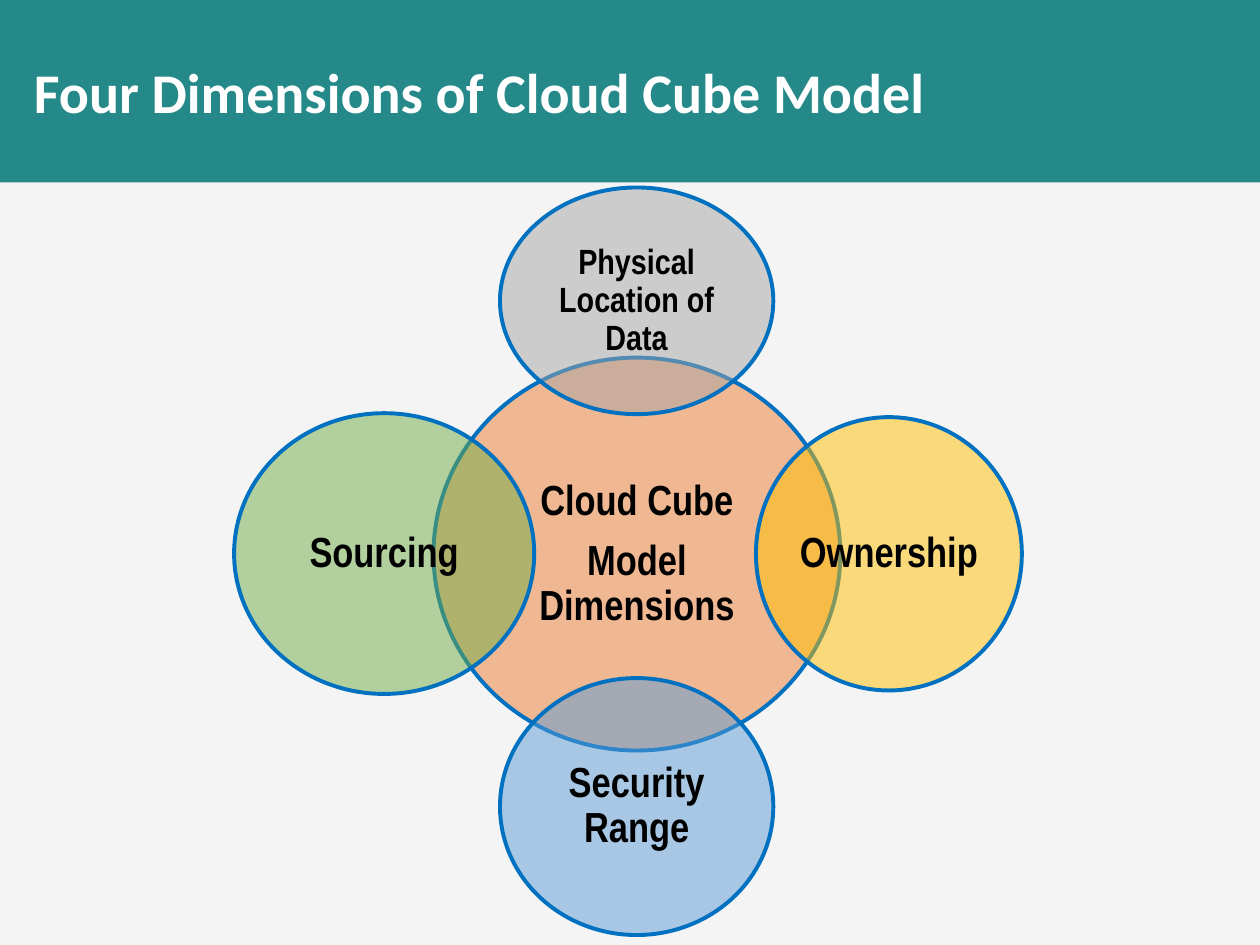
"""Build the slide on the four dimensions of the Cloud Cube Model."""
from lxml import etree
from pptx import Presentation
from pptx import util as u
from pptx.dml.color import RGBColor
from pptx.enum import shapes, text
from pptx.oxml.ns import qn

BACKGROUND = RGBColor(0xF4, 0xF4, 0xF5)
TEAL = RGBColor(0x25, 0x89, 0x89)
WHITE = RGBColor(0xFF, 0xFF, 0xFF)
BLACK = RGBColor(0, 0, 0)
OUTLINE = RGBColor(0x00, 0x70, 0xC0)
ORANGE = RGBColor(0xED, 0x7D, 0x31)
GREY = RGBColor(0xA5, 0xA5, 0xA5)
GOLD = RGBColor(0xFF, 0xC0, 0x00)
BLUE = RGBColor(0x5B, 0x9B, 0xD5)
GREEN = RGBColor(0x70, 0xAD, 0x47)

PAGE_WIDTH, PAGE_HEIGHT, BANNER_HEIGHT = 25.4, 19.05, 3.68
INSCRIBED = 0.5 ** 0.5

CIRCLES = [
    (["Cloud Cube", "Model Dimensions"], ORANGE, (8.74, 7.21, 8.2, 7.92), 24),
    (["Physical Location of Data"], GREY, (10.08, 3.78, 5.51, 4.57), 20),
    (["Ownership"], GOLD, (15.24, 8.41, 5.36, 5.51), 24),
    (["Security Range"], BLUE, (10.08, 13.67, 5.51, 5.18), 24),
    (["Sourcing"], GREEN, (4.72, 8.33, 6.05, 5.66), 24),
]


def write(para, content, *, size, font, color, align):
    """Write bold text into a paragraph."""
    span = para.add_run()
    span.text = content
    span.font.size = u.Pt(size)
    span.font.name = font
    span.font.bold = True
    span.font.color.rgb = color
    para.alignment = align


def add_filled(page, kind, area, color):
    """Add a preset shape with a plain fill and no shadow."""
    shape = page.shapes.add_shape(kind, *map(u.Cm, area))
    shape.shadow.inherit = False
    shape.fill.solid()
    shape.fill.fore_color.rgb = color
    return shape


def add_banner(page):
    """Add the title band behind everything else."""
    area = (0, 0, PAGE_WIDTH, BANNER_HEIGHT)
    banner = add_filled(page, shapes.MSO_SHAPE.RECTANGLE, area, TEAL)
    banner.line.fill.background()
    page.shapes.title._element.addprevious(banner._element)


def set_title(page, content):
    """Place and format the title placeholder."""
    box = page.shapes.title
    box.left, box.top = u.Cm(0.43), u.Cm(0)
    box.width, box.height = u.Cm(22.4), u.Cm(BANNER_HEIGHT)
    frame = box.text_frame
    frame.auto_size = text.MSO_AUTO_SIZE.NONE
    frame.vertical_anchor = text.MSO_ANCHOR.MIDDLE
    write(frame.paragraphs[0], content, size=32, font="Calibri",
          color=WHITE, align=text.PP_ALIGN.LEFT)


def add_circle(page, area, color):
    """Add a half-transparent outlined ellipse."""
    circle = add_filled(page, shapes.MSO_SHAPE.OVAL, area, color)
    circle.line.color.rgb = OUTLINE
    circle.line.width = u.Pt(2.25)
    tint = circle._element.spPr.find(qn("a:solidFill"))[0]
    etree.SubElement(tint, qn("a:alpha"), val="50000")


def add_label(page, lines, area, size):
    """Add centred text in the rectangle inscribed in an ellipse."""
    left, top, width, height = area
    margin = (1 - INSCRIBED) / 2
    box = page.shapes.add_textbox(
        u.Cm(left + width * margin), u.Cm(top + height * margin),
        u.Cm(width * INSCRIBED), u.Cm(height * INSCRIBED))
    frame = box.text_frame
    frame.word_wrap = True
    frame.vertical_anchor = text.MSO_ANCHOR.MIDDLE
    frame.margin_left = frame.margin_right = u.Cm(0.08)
    frame.margin_top = frame.margin_bottom = u.Cm(0.08)
    for index, line in enumerate(lines):
        para = frame.add_paragraph() if index else frame.paragraphs[0]
        para.line_spacing = 0.9
        para.space_after = u.Pt(0.35 * size)
        write(para, line, size=size, font="Arial Narrow",
              color=BLACK, align=text.PP_ALIGN.CENTER)


def main():
    """Build and save the deck."""
    deck = Presentation()
    deck.slide_width, deck.slide_height = u.Cm(PAGE_WIDTH), u.Cm(PAGE_HEIGHT)
    page = deck.slides.add_slide(deck.slide_layouts.get_by_name("Title Only"))
    page.background.fill.solid()
    page.background.fill.fore_color.rgb = BACKGROUND
    add_banner(page)
    set_title(page, "Four Dimensions of Cloud Cube Model")
    for lines, color, area, size in CIRCLES:
        add_circle(page, area, color)
        add_label(page, lines, area, size)
    deck.save("out.pptx")


if __name__ == "__main__":
    main()
